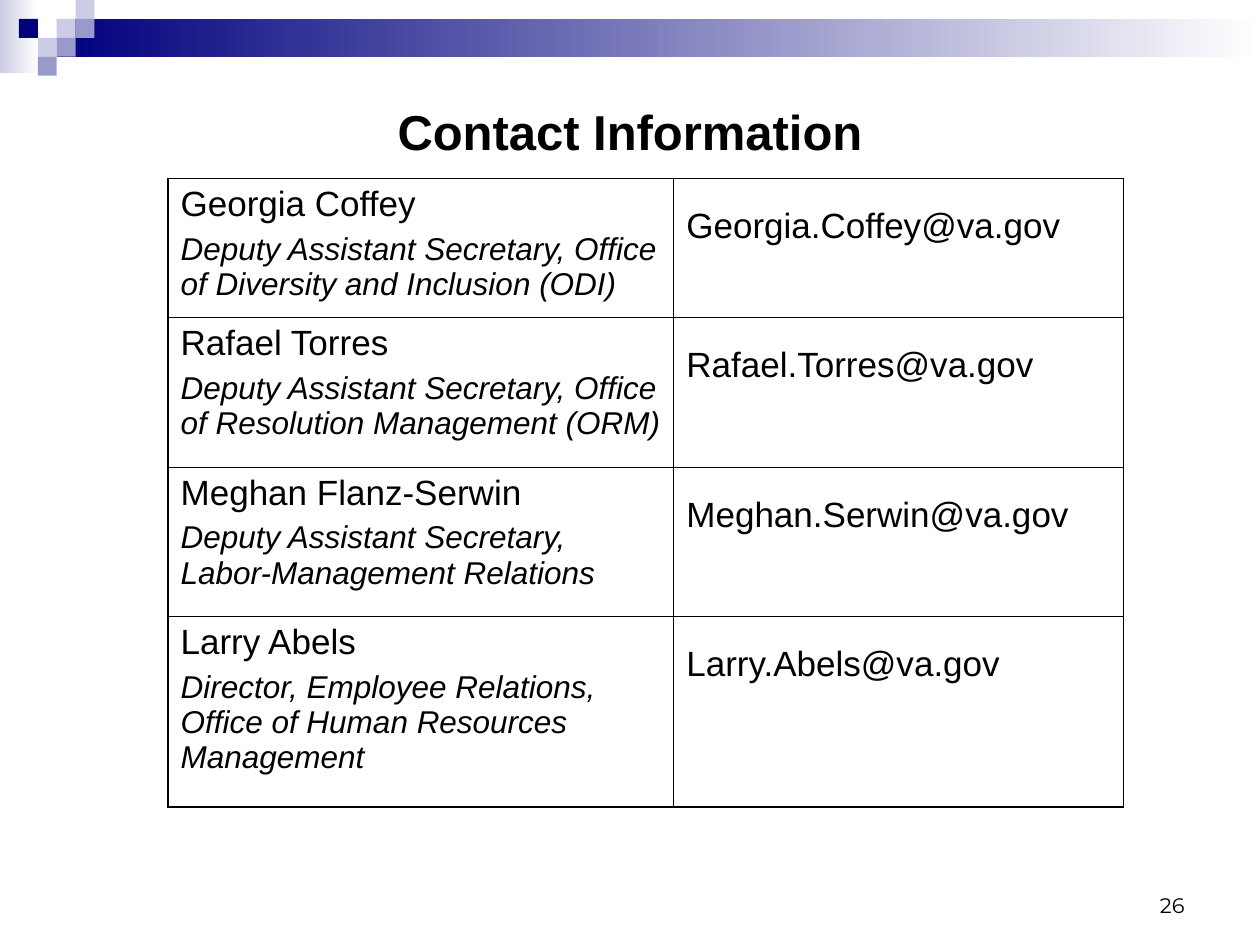
from dataclasses import dataclass

from lxml import etree
from pptx import Presentation
from pptx.dml.color import RGBColor
from pptx.enum import shapes, text
from pptx.oxml import ns
from pptx.util import Pt


@dataclass(frozen=True)
class Theme:
    ink: str = "000000"
    white: str = "FFFFFF"
    navy: str = "00007D"
    violet: str = "9999CC"
    lavender: str = "CCCCE6"
    body_font: str = "Arial"
    number_font: str = "Montserrat"
    title_size: float = 28
    name_size: float = 20
    role_size: float = 18
    number_size: float = 12
    outer_line: float = 1.08
    inner_line: float = 0.45


class SlideBuilder:
    def __init__(self, slide, theme):
        self.slide = slide
        self.theme = theme

    def block(self, box, *colours):
        """Add a borderless rectangle; two colours give a left-to-right gradient."""
        rect = self.slide.shapes.add_shape(
            shapes.MSO_SHAPE.RECTANGLE, *map(Pt, box))
        rect.shadow.inherit = False
        rect.line.fill.background()
        if len(colours) == 1:
            rect.fill.solid()
            rect.fill.fore_color.rgb = RGBColor.from_string(colours[0])
            return
        rect.fill.gradient()
        rect.fill.gradient_angle = 0
        for stop, colour in zip(rect.fill.gradient_stops, colours):
            stop.color.rgb = RGBColor.from_string(colour)

    def set_words(self, paragraph, words, **font):
        paragraph.text = words
        style = {"name": self.theme.body_font, **font}
        for key, value in style.items():
            setattr(paragraph.runs[0].font, key, value)
        paragraph.runs[0].font.color.rgb = RGBColor.from_string(self.theme.ink)

    def label(self, box, words, align, anchor, bottom=3.6, **font):
        frame = self.slide.shapes.add_textbox(*map(Pt, box)).text_frame
        layout = {"word_wrap": True, "vertical_anchor": anchor,
                  "margin_bottom": Pt(bottom)}
        for key, value in layout.items():
            setattr(frame, key, value)
        frame.paragraphs[0].alignment = align
        self.set_words(frame.paragraphs[0], words, **font)

    def borders(self, cell, widths):
        properties = cell._tc.get_or_add_tcPr()
        for side, width in widths.items():
            line = etree.SubElement(
                properties, ns.qn(f"a:ln{side}"), w=str(int(Pt(width))))
            fill = etree.SubElement(line, ns.qn("a:solidFill"))
            etree.SubElement(fill, ns.qn("a:srgbClr"), val=self.theme.ink)

    def contact_table(self, left, top, widths, heights, contacts):
        theme = self.theme
        table = self.slide.shapes.add_table(
            len(heights), len(widths), Pt(left), Pt(top),
            Pt(sum(widths)), Pt(sum(heights))).table
        table.first_row = table.horz_banding = False
        for column, width in zip(table.columns, widths):
            column.width = Pt(width)
        for row, height in zip(table.rows, heights):
            row.height = Pt(height)

        last_row, last_column = len(heights) - 1, len(widths) - 1
        for r, (name, role, email) in enumerate(contacts):
            name_cell, email_cell = table.cell(r, 0), table.cell(r, 1)
            self.set_words(name_cell.text_frame.paragraphs[0], name,
                           size=Pt(theme.name_size))
            role_line = name_cell.text_frame.add_paragraph()
            role_line.space_before = Pt(4.5)
            self.set_words(role_line, role,
                           size=Pt(theme.role_size), italic=True)
            email_cell.margin_top = Pt(16.2)
            self.set_words(email_cell.text_frame.paragraphs[0], email,
                           size=Pt(theme.name_size))
            for c, cell in enumerate((name_cell, email_cell)):
                on_edge = {"L": c == 0, "R": c == last_column,
                           "T": r == 0, "B": r == last_row}
                self.borders(cell, {
                    side: theme.outer_line if edge else theme.inner_line
                    for side, edge in on_edge.items()})
                cell.fill.background()


CONTACTS = [
    ("Georgia Coffey",
     "Deputy Assistant Secretary, Office of Diversity and Inclusion (ODI)",
     "Georgia.Coffey@va.gov"),
    ("Rafael Torres",
     "Deputy Assistant Secretary, Office of Resolution Management (ORM)",
     "Rafael.Torres@va.gov"),
    ("Meghan Flanz-Serwin",
     "Deputy Assistant Secretary, Labor-Management Relations",
     "Meghan.Serwin@va.gov"),
    ("Larry Abels",
     "Director, Employee Relations, Office of Human Resources Management",
     "Larry.Abels@va.gov"),
]


def main():
    deck = Presentation()
    deck.slide_width, deck.slide_height = Pt(720), Pt(540)
    theme = Theme()
    page = SlideBuilder(deck.slides.add_slide(deck.slide_layouts[6]), theme)

    tile = 10.8
    page.block((0, 0, 22, 42), theme.lavender, theme.white)
    page.block((3 * tile, tile, 720 - 3 * tile, 2 * tile),
               theme.navy, theme.white)
    mosaic = [(3, 1, theme.lavender), (4, 0, theme.lavender),
              (4, 1, theme.violet), (2, 2, theme.lavender),
              (1, 1, theme.navy), (3, 2, theme.violet),
              (2, 3, theme.violet)]
    for column, row, colour in mosaic:
        page.block((column * tile, row * tile, tile, tile), colour)

    page.label((36, 36, 648, 108), "Contact Information",
               text.PP_ALIGN.CENTER, text.MSO_ANCHOR.MIDDLE, bottom=34,
               size=Pt(theme.title_size), bold=True)
    page.contact_table(96, 102, widths=(289, 257),
                       heights=(79.4, 85.5, 85.5, 108.8), contacts=CONTACTS)
    page.label((516, 492, 168, 36), "26",
               text.PP_ALIGN.RIGHT, text.MSO_ANCHOR.BOTTOM,
               size=Pt(theme.number_size), name=theme.number_font)

    deck.save("out.pptx")


if __name__ == "__main__":
    main()
